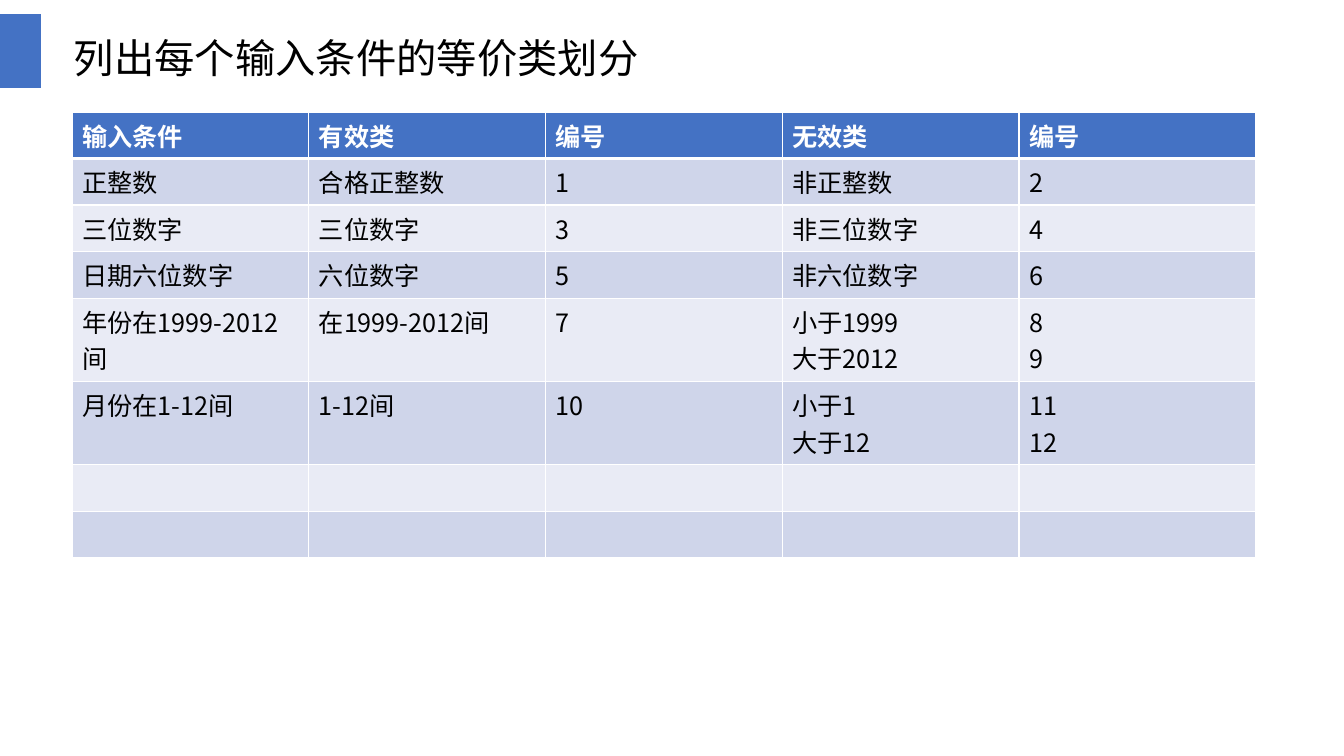
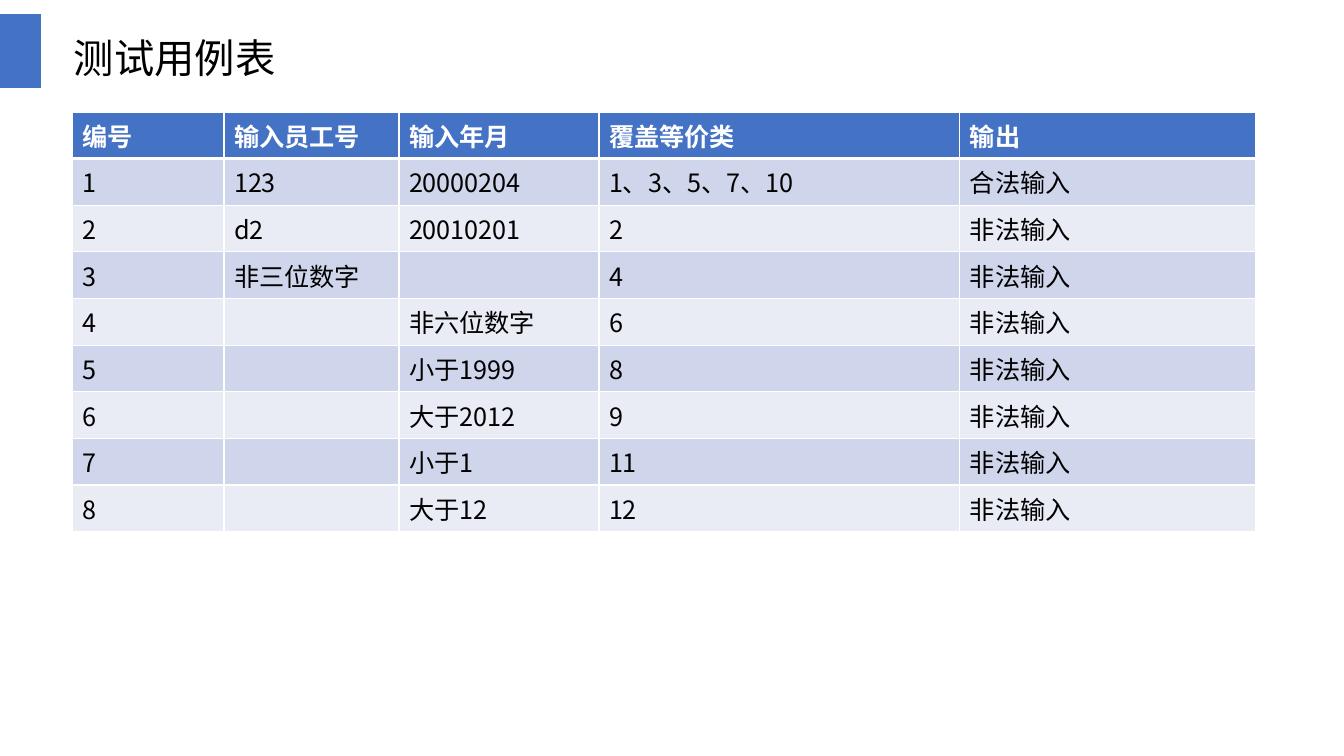
from dataclasses import dataclass

from lxml import etree
from pptx import Presentation
from pptx.dml.color import RGBColor
from pptx.enum.shapes import MSO_SHAPE
from pptx.enum.text import MSO_ANCHOR
from pptx.oxml.ns import qn
from pptx.util import Emu, Pt

RECTANGLE = MSO_SHAPE.RECTANGLE
MIDDLE = MSO_ANCHOR.MIDDLE
BLANK_LAYOUT = 6
EMU_PER_PX = 914400 / 100.8


@dataclass(frozen=True)
class Theme:
    font: str = "Noto Sans CJK SC"
    accent: str = "4472C4"
    text: str = "000000"
    white: str = "FFFFFF"
    bands: tuple = ("CFD5EA", "E9EBF5")
    title_size: float = 28.8
    table_size: float = 18
    title_spacing: float = 1.3
    thin_line: float = 1
    header_line: float = 3


THEME = Theme()

SLIDE_SIZE = (1344, 756)
ACCENT_BOX = (0, 14, 41, 74)
TITLE_BOX = (64, 13, 909, 74)
TABLE_LEFT, TABLE_TOP, TABLE_WIDTH = 72, 112, 1184
ROW_PADDING, LINE_HEIGHT = 10, 37

PAGES = [
    {
        "title": "列出每个输入条件的等价类划分",
        "height": 446,
        "columns": (1, 1, 1, 1, 1),
        "rows": [
            ("输入条件", "有效类", "编号", "无效类", "编号"),
            ("正整数", "合格正整数", "1", "非正整数", "2"),
            ("三位数字", "三位数字", "3", "非三位数字", "4"),
            ("日期六位数字", "六位数字", "5", "非六位数字", "6"),
            ("年份在1999-2012间", "在1999-2012间", "7", "小于1999\n大于2012", "8\n9"),
            ("月份在1-12间", "1-12间", "10", "小于1\n大于12", "11\n12"),
            ("", "", "", "", ""),
            ("", "", "", "", ""),
        ],
    },
    {
        "title": "测试用例表",
        "height": 420,
        "columns": (152, 175, 200, 361, 296),
        "rows": [
            ("编号", "输入员工号", "输入年月", "覆盖等价类", "输出"),
            ("1", "123", "20000204", "1、3、5、7、10", "合法输入"),
            ("2", "d2", "20010201", "2", "非法输入"),
            ("3", "非三位数字", "", "4", "非法输入"),
            ("4", "", "非六位数字", "6", "非法输入"),
            ("5", "", "小于1999", "8", "非法输入"),
            ("6", "", "大于2012", "9", "非法输入"),
            ("7", "", "小于1", "11", "非法输入"),
            ("8", "", "大于12", "12", "非法输入"),
        ],
    },
]


def px(length):
    return Emu(round(length * EMU_PER_PX))


def place(box):
    return [px(length) for length in box]


def divide(total, shares):
    return [px(total * share / sum(shares)) for share in shares]


def paint(fill, color):
    fill.solid()
    fill.fore_color.rgb = RGBColor.from_string(color)


def add_typefaces(properties):
    for tag in ("a:latin", "a:ea"):
        etree.SubElement(properties, qn(tag), typeface=THEME.font)


def write(frame, text, size, color, bold=False):
    frame.text = text
    for para in frame.paragraphs:
        for span in para.runs:
            for name, value in {"size": Pt(size), "bold": bold}.items():
                setattr(span.font, name, value)
            span.font.color.rgb = RGBColor.from_string(color)
            add_typefaces(span.font._element)
        if not para.runs:
            ending = etree.SubElement(para._p, qn("a:endParaRPr"), sz=str(int(size * 100)))
            add_typefaces(ending)


def add_heading(page, title):
    accent = page.shapes.add_shape(RECTANGLE, *place(ACCENT_BOX))
    accent.shadow.inherit = False
    paint(accent.fill, THEME.accent)
    accent.line.fill.background()

    frame = page.shapes.add_textbox(*place(TITLE_BOX)).text_frame
    for name, value in {"word_wrap": True, "vertical_anchor": MIDDLE}.items():
        setattr(frame, name, value)
    write(frame, title, THEME.title_size, THEME.text)
    frame.paragraphs[0].line_spacing = THEME.title_spacing


def add_borders(cell, row_index):
    widths = {
        "a:lnL": THEME.thin_line,
        "a:lnR": THEME.thin_line,
        "a:lnT": THEME.header_line if row_index == 1 else THEME.thin_line,
        "a:lnB": THEME.header_line if row_index == 0 else THEME.thin_line,
    }
    properties = cell._tc.get_or_add_tcPr()
    for tag, width in widths.items():
        line = etree.SubElement(properties, qn(tag), w=str(Pt(width)))
        fill = etree.SubElement(line, qn("a:solidFill"))
        etree.SubElement(fill, qn("a:srgbClr"), val=THEME.white)


def row_share(texts):
    line_count = max(text.count("\n") + 1 for text in texts)
    return ROW_PADDING + LINE_HEIGHT * line_count


def add_grid(page, height, columns, rows):
    box = (TABLE_LEFT, TABLE_TOP, TABLE_WIDTH, height)
    table = page.shapes.add_table(len(rows), len(columns), *place(box)).table
    for column, width in zip(table.columns, divide(TABLE_WIDTH, columns)):
        column.width = width
    row_heights = divide(height, [row_share(texts) for texts in rows])
    for row_index, texts in enumerate(rows):
        table.rows[row_index].height = row_heights[row_index]
        header = row_index == 0
        background = THEME.accent if header else THEME.bands[(row_index - 1) % 2]
        color = THEME.white if header else THEME.text
        for column_index, text in enumerate(texts):
            cell = table.cell(row_index, column_index)
            add_borders(cell, row_index)
            paint(cell.fill, background)
            write(cell.text_frame, text, THEME.table_size, color, header)


def main():
    deck = Presentation()
    deck.slide_width, deck.slide_height = place(SLIDE_SIZE)
    for content in PAGES:
        page = deck.slides.add_slide(deck.slide_layouts[BLANK_LAYOUT])
        paint(page.background.fill, THEME.white)
        add_heading(page, content["title"])
        add_grid(page, content["height"], content["columns"], content["rows"])
    deck.save("out.pptx")


if __name__ == "__main__":
    main()
